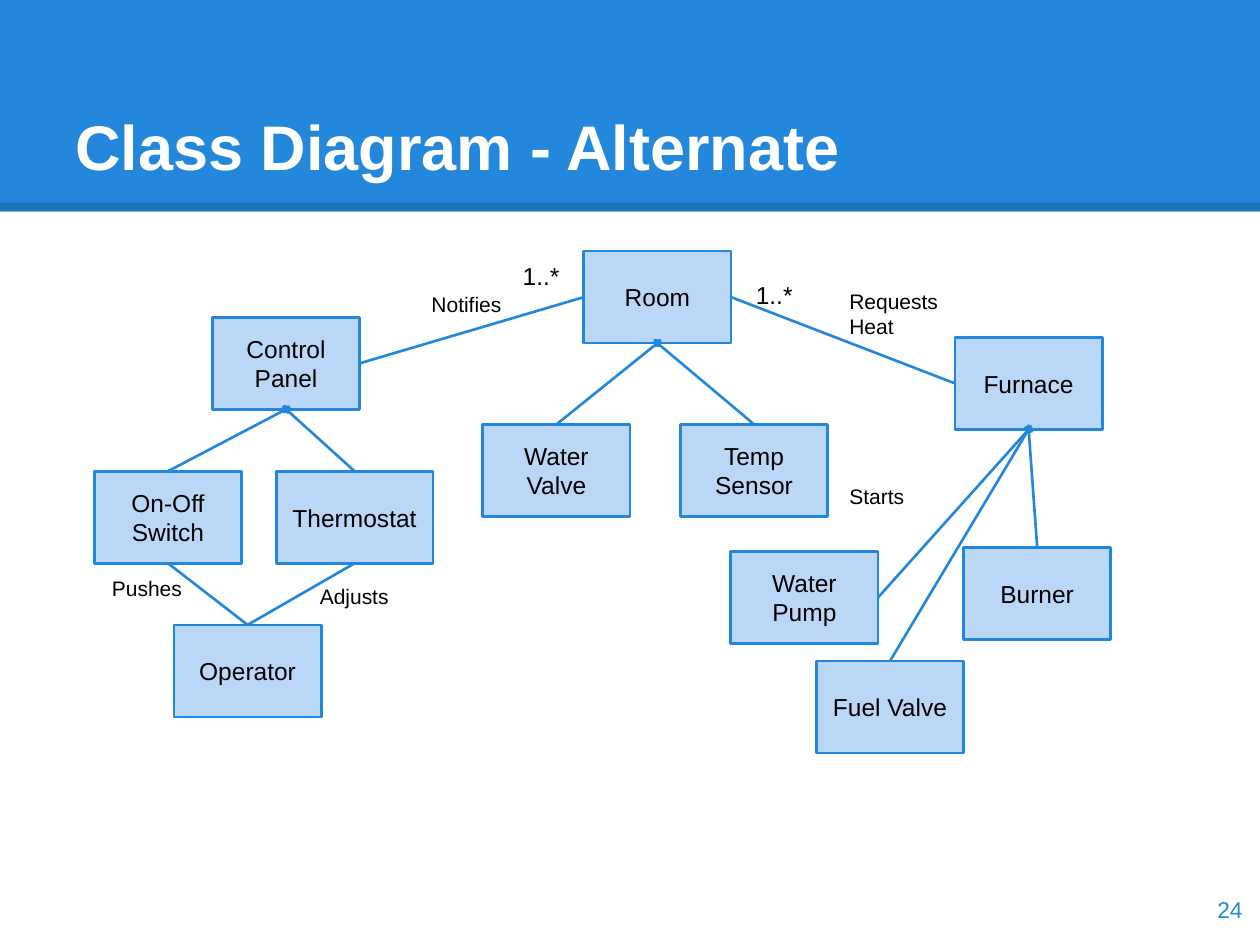
from lxml import etree
from pptx import Presentation
from pptx.dml.color import RGBColor
from pptx.enum import shapes as shp, text as txt
from pptx.oxml import ns
from pptx.util import Pt

BLUE, PALE, BLACK, WHITE = "2388DB", "BBD7F8", "000000", "FFFFFF"
TOP, LEFT, BASE, RIGHT = range(4)
WIDE, HIGH = 84.2, 52.6

# name: (left, top, width)
NODES = {
    "Control Panel": (121.4, 181.3, WIDE),
    "On-Off Switch": (53.9, 269.3, WIDE),
    "Thermostat": (157.9, 269.3, 89.5),
    "Room": (333.6, 143.5, WIDE),
    "Operator": (99.4, 357.1, WIDE),
    "Furnace": (545.7, 192.8, WIDE),
    "Water Pump": (417.6, 315.1, WIDE),
    "Burner": (550.6, 313, WIDE),
    "Fuel Valve": (466.5, 377.7, WIDE),
    "Temp Sensor": (388.8, 242.5, WIDE),
    "Water Valve": (275.9, 242.5, WIDE),
}

# part, whole: drawn from the part's top to a diamond under the whole
PARTS = [
    ("Water Valve", "Room"),
    ("Temp Sensor", "Room"),
    ("Fuel Valve", "Furnace"),
    ("Burner", "Furnace"),
    ("On-Off Switch", "Control Panel"),
    ("Thermostat", "Control Panel"),
]

LINKS = [
    ("Operator", TOP, "On-Off Switch", BASE),
    ("Operator", TOP, "Thermostat", BASE),
    ("Control Panel", RIGHT, "Room", LEFT),
    ("Room", RIGHT, "Furnace", LEFT),
    ("Water Pump", RIGHT, "Furnace", BASE),
]

ROLES = [
    ("Pushes", 56.9, 321.8),
    ("Adjusts", 175.7, 326.2),
    ("Notifies", 239.5, 159.1),
    ("Requests Heat", 478.3, 157.7),
    ("Starts", 478.3, 269.3),
]

COUNTS = [("1..*", 291.6, 141.8), ("1..*", 424.8, 152.6)]


def color(code):
    return RGBColor.from_string(code)


def write(shape, words, size, code=BLACK, bold=False,
          align=txt.PP_ALIGN.LEFT, anchor=txt.MSO_ANCHOR.TOP):
    frame = shape.text_frame
    frame.word_wrap = True
    frame.vertical_anchor = anchor
    frame.margin_left = frame.margin_right = Pt(7.2)
    frame.margin_top = frame.margin_bottom = Pt(7.2)
    frame.text = words
    line = frame.paragraphs[0]
    line.alignment = align
    for run in line.runs:
        run.font.name = "Arial"
        run.font.size = Pt(size)
        run.font.bold = bold
        run.font.color.rgb = color(code)


def label(slide, words, left, top, width, height, size, **style):
    box = slide.shapes.add_textbox(Pt(left), Pt(top), Pt(width), Pt(height))
    write(box, words, size, **style)


def block(slide, left, top, width, height, fill):
    shape = slide.shapes.add_shape(
        shp.MSO_SHAPE.RECTANGLE, Pt(left), Pt(top), Pt(width), Pt(height))
    shape.shadow.inherit = False
    shape.fill.solid()
    shape.fill.fore_color.rgb = color(fill)
    shape.line.fill.background()
    return shape


def node(slide, name, left, top, width):
    shape = block(slide, left, top, width, HIGH, PALE)
    shape.line.color.rgb = color(BLUE)
    shape.line.width = Pt(1.5)
    write(shape, name, 14, align=txt.PP_ALIGN.CENTER,
          anchor=txt.MSO_ANCHOR.MIDDLE)
    return shape


def stroke(slide, code, width, ends=(0, 0, 0, 0)):
    line = slide.shapes.add_connector(
        shp.MSO_CONNECTOR.STRAIGHT, *[Pt(end) for end in ends])
    line.line.color.rgb = color(code)
    line.line.width = Pt(width)
    etree.SubElement(line._element.spPr, ns.qn("a:effectLst"))
    return line


def link(slide, start, side, end, goal, diamond=False):
    line = stroke(slide, BLUE, 1.5)
    line.begin_connect(start, side)
    line.end_connect(end, goal)
    if diamond:
        etree.SubElement(line.line._ln, ns.qn("a:tailEnd"), type="diamond")


def header(slide):
    block(slide, 0, 0, 720, 121, BLUE)
    rule = stroke(slide, BLACK, 4.5, (0, 118.1, 720, 118.1))
    tint = rule.line._ln.find(".//" + ns.qn("a:srgbClr"))
    etree.SubElement(tint, ns.qn("a:alpha"), val="15000")
    label(slide, "Class Diagram - Alternate", 36, 21.6, 648, 90, 36,
          code=WHITE, bold=True, anchor=txt.MSO_ANCHOR.BOTTOM)


def main():
    deck = Presentation()
    deck.slide_width, deck.slide_height = Pt(720), Pt(540)
    slide = deck.slides.add_slide(deck.slide_layouts[6])
    header(slide)
    nodes = {name: node(slide, name, *place) for name, place in NODES.items()}
    for part, whole in PARTS:
        link(slide, nodes[part], TOP, nodes[whole], BASE, diamond=True)
    for start, side, end, goal in LINKS:
        link(slide, nodes[start], side, nodes[end], goal)
    for words, left, top in ROLES:
        label(slide, words, left, top, 67.7, 35.3, 12)
    for words, left, top in COUNTS:
        label(slide, words, left, top, 41.8, 17.3, 14)
    label(slide, "24", 673.9, 499, 43.2, 41, 13, code=BLUE,
          align=txt.PP_ALIGN.RIGHT, anchor=txt.MSO_ANCHOR.MIDDLE)
    deck.save("out.pptx")


if __name__ == "__main__":
    main()
